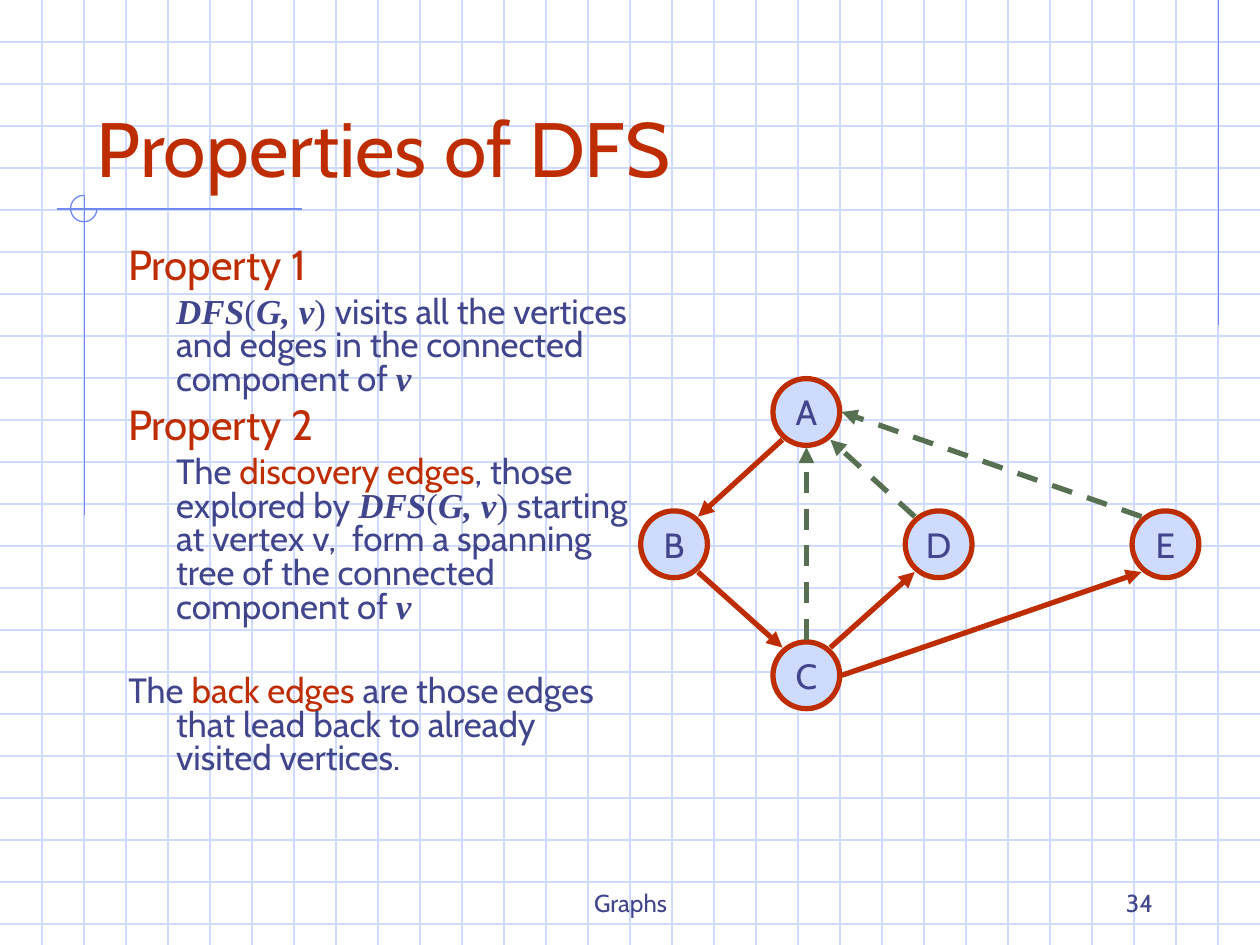
from lxml import etree
from pptx import Presentation
from pptx import util as u
from pptx.dml.color import RGBColor
from pptx.enum import dml, shapes, text
from pptx.oxml import ns

Inches, Pt = u.Inches, u.Pt

COLORS = {
    "grid": "CFDBFD",
    "rule": "6F89F7",
    "accent": "BE2D00",
    "ink": "40458C",
    "back": "577052",
}
SANS, SERIF = "Cabin", "Times New Roman"

# Graph: node centres, and attachment points relative to a centre
NODE_SIZE = 0.53
NODES = {"A": (6.4, 3.27), "B": (5.35, 4.32), "C": (6.4, 5.36),
         "D": (7.45, 4.32), "E": (9.25, 4.32)}
PORTS = {"nw": (-0.19, -0.22), "ne": (0.19, -0.22),
         "sw": (-0.19, 0.22), "se": (0.19, 0.22),
         "n": (0, -0.28), "s": (0, 0.28), "e": (0.28, 0)}
DISCOVERY_EDGES = [("A", "sw", "B", "ne"), ("B", "se", "C", "nw"),
                   ("C", "ne", "D", "sw"), ("C", "e", "E", "sw")]
BACK_EDGES = [("D", "nw", "A", "se"), ("C", "n", "A", "s"),
              ("E", "nw", "A", "e")]

# Body text: run styles as (font, size, colour, bold italic)
STYLES = {
    "title": (SANS, 44, "accent", False),
    "heading": (SANS, 24, "accent", False),
    "plain": (SANS, 20, "ink", False),
    "term": (SANS, 20, "accent", False),
    "math": (SERIF, 20, "ink", True),
    "paren": (SERIF, 20, "ink", False),
    "footer": (SANS, 14, "ink", False),
}
CALL = [("DFS", "math"), ("(", "paren"), ("G, v", "math"), (") ", "paren")]
# Each paragraph: (first-line indent, space before, runs)
BODY = [
    (-0.38, 0, [("Property 1", "heading")]),
    (0, 5, CALL + [
        ("visits all the vertices and edges in the connected component of ",
         "plain"), ("v", "math")]),
    (-0.38, 6, [("Property 2", "heading")]),
    (0, 5, [("The ", "plain"), ("discovery edges", "term"),
            (", those explored by ", "plain")] + CALL + [
        ("starting at vertex v,  form a spanning tree of the connected "
         "component of ", "plain"), ("v", "math")]),
    (-0.38, 29, [("The ", "plain"), ("back edges ", "term"),
                 ("are those edges that lead back to already visited "
                  "vertices.", "plain")]),
]


def rgb(name):
    return RGBColor.from_string(COLORS[name])


def add_run(p, content, style):
    font, size, color, emphasis = STYLES[style]
    r = p.add_run()
    r.text = content
    r.font.name = font
    r.font.size = Pt(size)
    r.font.color.rgb = rgb(color)
    r.font.bold = r.font.italic = emphasis


def add_line(s, start, end, color, width=0.75):
    line = s.shapes.add_connector(shapes.MSO_CONNECTOR.STRAIGHT,
                                  *map(Inches, start + end))
    line.line.color.rgb = rgb(color)
    line.line.width = Pt(width)
    etree.SubElement(line._element.spPr, ns.qn("a:effectLst"))
    return line


def add_textbox(s, box, anchor):
    tf = s.shapes.add_textbox(*map(Inches, box)).text_frame
    tf.word_wrap = True
    tf.vertical_anchor = anchor
    return tf


def add_label(s, box, content, style, align):
    p = add_textbox(s, box, text.MSO_ANCHOR.BOTTOM).paragraphs[0]
    p.alignment = align
    add_run(p, content, style)


def add_body(s, box):
    tf = add_textbox(s, box, text.MSO_ANCHOR.TOP)
    for i, (indent, before, runs) in enumerate(BODY):
        p = tf.add_paragraph() if i else tf.paragraphs[0]
        p.line_spacing = 0.8
        p.space_before = Pt(before)
        pPr = p._p.get_or_add_pPr()
        pPr.set("marL", str(Inches(0.38)))
        pPr.set("indent", str(Inches(indent)))
        for content, style in runs:
            add_run(p, content, style)


def add_node(s, name):
    x, y = NODES[name]
    sp = s.shapes.add_shape(
        shapes.MSO_SHAPE.OVAL, Inches(x - NODE_SIZE / 2),
        Inches(y - NODE_SIZE / 2), Inches(NODE_SIZE), Inches(NODE_SIZE))
    sp.shadow.inherit = False
    sp.fill.solid()
    sp.fill.fore_color.rgb = rgb("grid")
    sp.line.color.rgb = rgb("accent")
    sp.line.width = Pt(3)
    tf = sp.text_frame
    tf.word_wrap = False
    tf.vertical_anchor = text.MSO_ANCHOR.MIDDLE
    p = tf.paragraphs[0]
    p.alignment = text.PP_ALIGN.CENTER
    add_run(p, name, "plain")


def port(name, side):
    (x, y), (dx, dy) = NODES[name], PORTS[side]
    return x + dx, y + dy


def add_edge(s, edge, color, dashed=False):
    source, out_side, target, in_side = edge
    line = add_line(s, port(source, out_side), port(target, in_side), color, 3)
    if dashed:
        line.line.dash_style = dml.MSO_LINE.DASH
    etree.SubElement(line.line._get_or_add_ln(), ns.qn("a:tailEnd"),
                     type="triangle")


def add_backdrop(s):
    # Squared paper, three squares to the inch
    for i in range(1, 23):
        add_line(s, (0, i / 3), (10, i / 3), "grid")
    for i in range(1, 30):
        add_line(s, (i / 3, 0), (i / 3, 7.5), "grid")
    # Margin rules
    add_line(s, (9.67, 0), (9.67, 2.58), "rule")
    add_line(s, (0.45, 1.66), (2.4, 1.66), "rule")
    add_line(s, (0.67, 1.55), (0.67, 4.09), "rule")
    # Three-quarter circle where the rules cross
    arc = s.shapes.add_shape(shapes.MSO_SHAPE.ARC, Inches(0.56), Inches(1.55),
                             Inches(0.21), Inches(0.21))
    arc.adjustments[0] = 0
    arc.adjustments[1] = 162  # 270 degrees
    arc.shadow.inherit = False
    arc.fill.background()
    arc.line.color.rgb = rgb("rule")
    arc.line.width = Pt(0.75)


def main():
    prs = Presentation()
    prs.slide_width, prs.slide_height = Inches(10), Inches(7.5)
    s = prs.slides.add_slide(prs.slide_layouts[6])
    add_backdrop(s)

    # Title and properties
    add_label(s, (0.67, 0.33, 8.5, 1.25), "Properties of DFS", "title",
              text.PP_ALIGN.LEFT)
    add_body(s, (0.92, 1.92, 4.17, 4.5))

    # Example graph
    for name in NODES:
        add_node(s, name)
    for edge in DISCOVERY_EDGES:
        add_edge(s, edge, "accent")
    for edge in BACK_EDGES:
        add_edge(s, edge, "back", dashed=True)

    # Footer
    add_label(s, (3.42, 6.83, 3.17, 0.5), "Graphs", "footer",
              text.PP_ALIGN.CENTER)
    add_label(s, (7.17, 6.83, 2.08, 0.5), "34", "footer",
              text.PP_ALIGN.RIGHT)
    prs.save("out.pptx")


if __name__ == "__main__":
    main()
